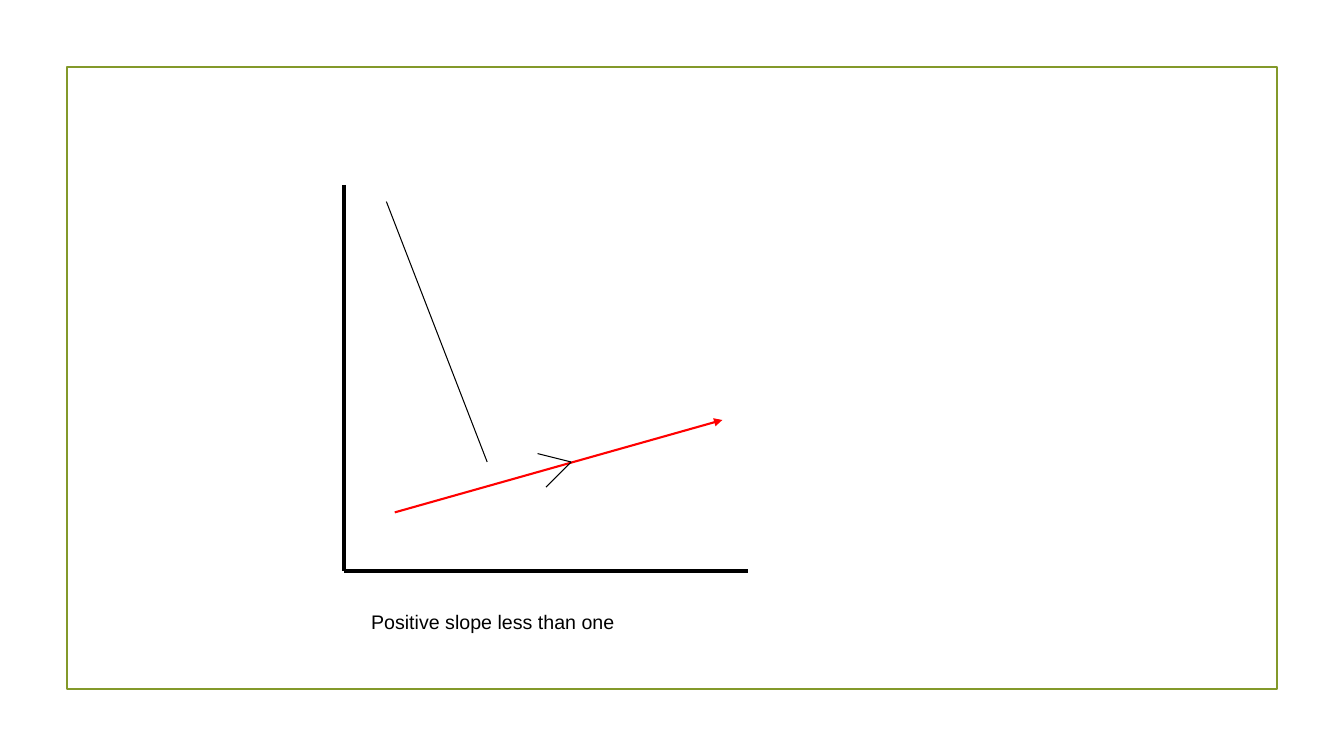
from dataclasses import dataclass
from lxml.etree import SubElement
from pptx import Presentation
from pptx.dml.color import RGBColor
from pptx.enum.shapes import MSO_CONNECTOR, MSO_SHAPE
from pptx.enum.text import MSO_AUTO_SIZE
from pptx.oxml.ns import qn
from pptx.util import Pt

PX = 9525


@dataclass(frozen=True)
class Theme:
    ink: str = "000000"
    slope: str = "FF0000"
    frame: str = "83992A"
    font: str = "Arial"
    size: int = 14
    edge: float = 1.25
    axis: float = 3
    bold: float = 1.5
    thin: float = 0.75


THEME = Theme()


def scale(*sizes):
    return [size * PX for size in sizes]


def paint(line, color, width):
    line.color.rgb = RGBColor.from_string(color)
    line.width = Pt(width)


def add_line(slide, box, start, end, color, width, arrow=False):
    left, top = box[:2]
    ends = scale(left + start[0], top + start[1], left + end[0], top + end[1])
    link = slide.shapes.add_connector(MSO_CONNECTOR.STRAIGHT, *ends)
    paint(link.line, color, width)
    if arrow:
        SubElement(link.line._get_or_add_ln(), qn("a:tailEnd"), type="triangle")
    SubElement(link._element.spPr, qn("a:effectLst"))


def add_frame(slide, box):
    frame = slide.shapes.add_shape(MSO_SHAPE.RECTANGLE, *scale(*box))
    frame.shadow.inherit = False
    frame.fill.background()
    paint(frame.line, THEME.frame, THEME.edge)


def add_graph(slide, box):
    wide, high = box[2:]
    base, tip = (0, high), (216, 264)
    add_line(slide, box, (0, 0), base, THEME.ink, THEME.axis)
    add_line(slide, box, base, (wide, high), THEME.ink, THEME.axis)
    add_line(slide, box, (48, 312), (360, 224), THEME.slope, THEME.bold, True)
    for start, end in (((184, 256), tip), ((192, 288), tip), ((136, 264), (40, 16))):
        add_line(slide, box, start, end, THEME.ink, THEME.thin)


def add_label(slide, box, text):
    frame = slide.shapes.add_textbox(*scale(*box)).text_frame
    frame.word_wrap = False
    frame.auto_size = MSO_AUTO_SIZE.SHAPE_TO_FIT_TEXT
    frame.text = text
    font = frame.paragraphs[0].runs[0].font
    font.name = THEME.font
    font.size = Pt(THEME.size)
    font.color.rgb = RGBColor.from_string(THEME.ink)


def main():
    deck = Presentation()
    deck.slide_width, deck.slide_height = scale(1280, 720)
    slide = deck.slides.add_slide(deck.slide_layouts[6])
    add_frame(slide, (64, 64, 1152, 592))
    add_graph(slide, (328, 176, 384, 368))
    add_label(slide, (344, 576, 252, 33), "Positive slope less than one")
    deck.save("out.pptx")


if __name__ == "__main__":
    main()
